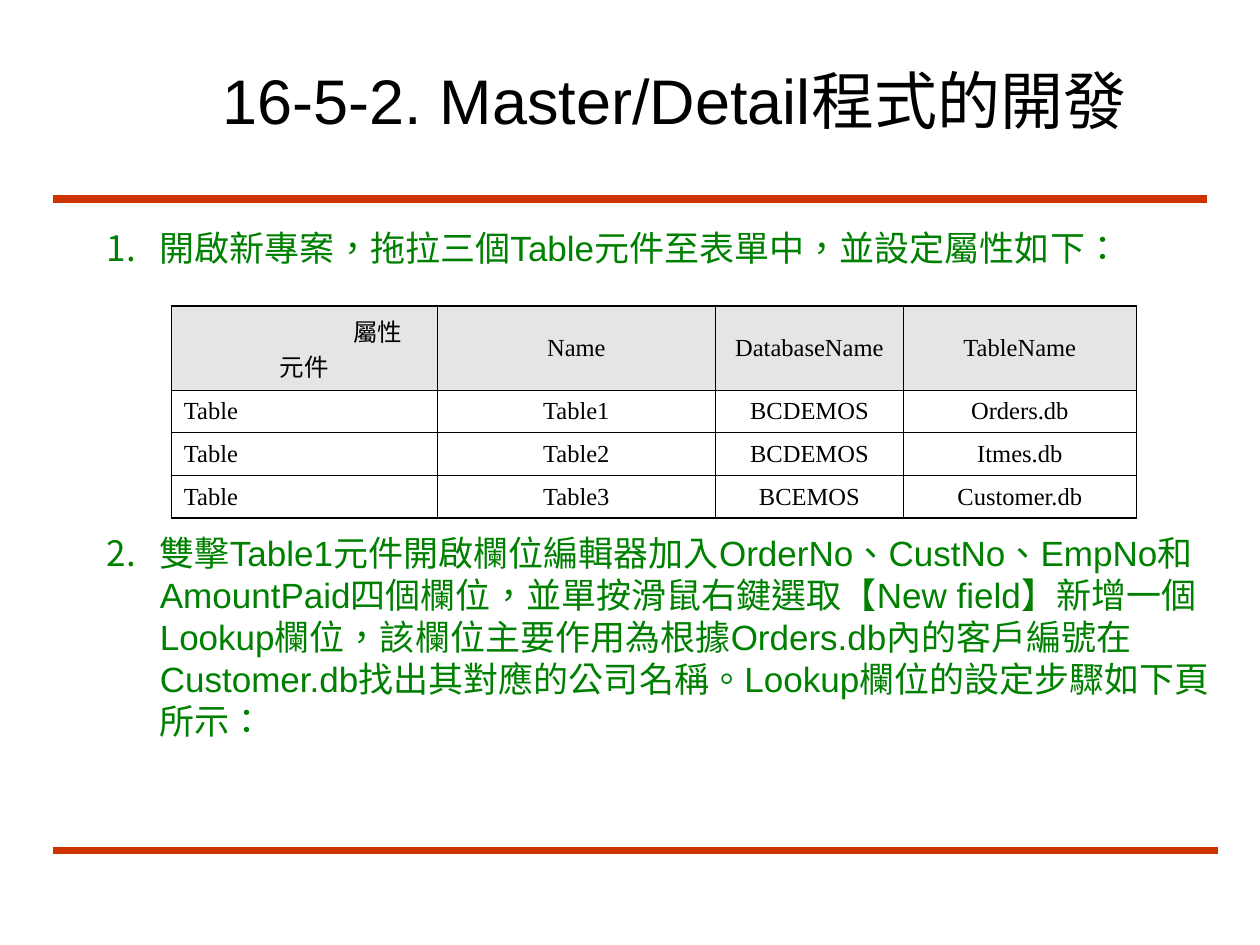
from lxml import etree
from pptx import Presentation
from pptx import util as u
from pptx.dml.color import RGBColor
from pptx.enum import lang, shapes, text
from pptx.oxml import ns

GREEN, BLACK, RED, GREY = "008000", "000000", "CC3300", "E5E5E5"
CHINESE_FONT = "Noto Sans CJK TC"

TITLE = "16-5-2. Master/Detail程式的開發"
STEPS = [
    "開啟新專案，拖拉三個Table元件至表單中，並設定屬性如下：",
    "雙擊Table1元件開啟欄位編輯器加入OrderNo、CustNo、EmpNo和AmountPaid四個欄位，"
    "並單按滑鼠右鍵選取【New field】新增一個Lookup欄位，該欄位主要作用為根據Orders.db"
    "內的客戶編號在Customer.db找出其對應的公司名稱。Lookup欄位的設定步驟如下頁所示：",
]
ROWS = [
    ["屬性\n元件", "Name", "DatabaseName", "TableName"],
    ["Table", "Table1", "BCDEMOS", "Orders.db"],
    ["Table", "Table2", "BCDEMOS", "Itmes.db"],
    ["Table", "Table3", "BCEMOS", "Customer.db"],
]
COLUMN_WIDTHS = [2.11, 2.21, 1.49, 1.85]
ROW_HEIGHTS = [0.67, 0.33, 0.34, 0.34]


def color(value):
    """Turn a hex string into a colour."""
    return RGBColor.from_string(value)


def add_element(parent, tag, **attributes):
    """Append a DrawingML element to a parent."""
    return etree.SubElement(parent, ns.qn(tag), attributes)


def style_paragraph(para, size, latin, ink):
    """Set the Latin and Chinese fonts, size and colour of a paragraph."""
    font = para.font
    font.size, font.name = u.Pt(size), latin
    font.color.rgb = color(ink)
    font.language_id = lang.MSO_LANGUAGE_ID.TRADITIONAL_CHINESE
    add_element(font._element, "a:ea", typeface=CHINESE_FONT)


def add_rule(page, left, top, width):
    """Draw a thick horizontal rule."""
    rule = page.shapes.add_connector(
        shapes.MSO_CONNECTOR.STRAIGHT,
        u.Inches(left), u.Inches(top), u.Inches(left + width), u.Inches(top))
    rule.line.color.rgb = color(RED)
    rule.line.width = u.Pt(4.5)
    add_element(rule._element.spPr, "a:effectLst")


def add_text_frame(page, left, top, width, height):
    """Add a wrapping text box and return its frame."""
    box = page.shapes.add_textbox(
        u.Inches(left), u.Inches(top), u.Inches(width), u.Inches(height))
    box.text_frame.word_wrap = True
    return box.text_frame


def add_title(page, left, top, width, height):
    """Place the slide title."""
    frame = add_text_frame(page, left, top, width, height)
    frame.vertical_anchor = text.MSO_ANCHOR.MIDDLE
    para = frame.paragraphs[0]
    para.text = TITLE
    style_paragraph(para, 36, "Arial", BLACK)


def add_steps(page, left, top, width, height):
    """Place the numbered steps, leaving room for the table between them."""
    frame = add_text_frame(page, left, top, width, height)
    for index, step in enumerate(STEPS):
        para = frame.paragraphs[0] if index == 0 else frame.add_paragraph()
        para.text = step
        para.line_spacing = u.Pt(24)
        if index:
            para.space_before = u.Pt(150)
        properties = para._p.get_or_add_pPr()
        properties.set("marL", str(u.Inches(0.92)))
        properties.set("indent", str(u.Inches(-0.42)))
        add_element(add_element(properties, "a:buClr"), "a:srgbClr", val=GREEN)
        add_element(properties, "a:buFont", typeface=CHINESE_FONT)
        add_element(properties, "a:buAutoNum", type="arabicPeriod", startAt=str(index + 1))
        style_paragraph(para, 20, "Arial", GREEN)


def add_borders(cell, outer_sides):
    """Draw the four cell borders, thicker on the outer sides."""
    properties = cell._tc.get_or_add_tcPr()
    for side in "LRTB":
        width = u.Pt(1 if side in outer_sides else 0.45)
        line = add_element(properties, f"a:ln{side}", w=str(width))
        add_element(add_element(line, "a:solidFill"), "a:srgbClr", val=BLACK)


def add_property_table(page, left, top):
    """Place the table of component properties."""
    last_row, last_column = len(ROWS) - 1, len(COLUMN_WIDTHS) - 1
    table = page.shapes.add_table(
        len(ROWS), len(COLUMN_WIDTHS), u.Inches(left), u.Inches(top),
        u.Inches(sum(COLUMN_WIDTHS)), u.Inches(sum(ROW_HEIGHTS))).table
    table.first_row = table.horz_banding = False
    for column, width in zip(table.columns, COLUMN_WIDTHS):
        column.width = u.Inches(width)
    for row, height in zip(table.rows, ROW_HEIGHTS):
        row.height = u.Inches(height)
    for r, values in enumerate(ROWS):
        for c, value in enumerate(values):
            cell = table.cell(r, c)
            cell.text = value
            cell.vertical_anchor = text.MSO_ANCHOR.MIDDLE
            edges = {"L": c == 0, "R": c == last_column, "T": r == 0, "B": r == last_row}
            add_borders(cell, [side for side, outer in edges.items() if outer])
            if r == 0:
                cell.fill.solid()
                cell.fill.fore_color.rgb = color(GREY)
            else:
                cell.fill.background()
            for para in cell.text_frame.paragraphs:
                centred = r == 0 or c > 0
                para.alignment = text.PP_ALIGN.CENTER if centred else text.PP_ALIGN.LEFT
                style_paragraph(para, 14, "Times New Roman", BLACK)
    corner = table.cell(0, 0).text_frame.paragraphs[0]
    corner._p.get_or_add_pPr().set("marL", str(u.Inches(1.17)))


def main():
    """Build the slide and save the deck."""
    deck = Presentation()
    deck.slide_width, deck.slide_height = u.Inches(10), u.Inches(7.5)
    page = deck.slides.add_slide(deck.slide_layouts[6])
    add_rule(page, 0.42, 1.58, 9.16)
    add_rule(page, 0.42, 6.75, 9.25)
    add_title(page, 1.67, 0.33, 7.58, 0.92)
    add_steps(page, 0.25, 1.75, 9.53, 4.91)
    add_property_table(page, 1.36, 2.43)
    deck.save("out.pptx")


if __name__ == "__main__":
    main()
